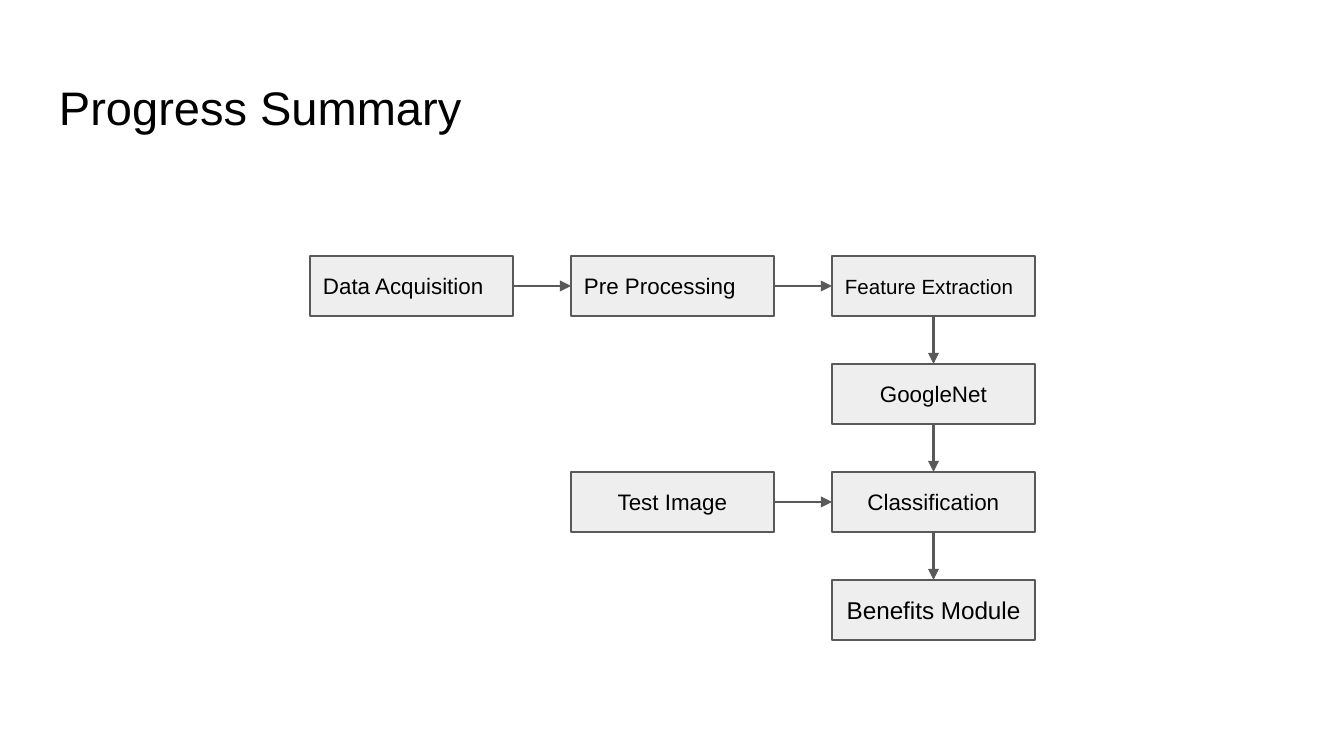
from lxml import etree
from pptx import Presentation
from pptx.dml.color import RGBColor
from pptx.enum.shapes import MSO_CONNECTOR, MSO_SHAPE
from pptx.enum.text import MSO_ANCHOR, PP_ALIGN
from pptx.oxml.ns import qn
from pptx.util import Emu, Pt

RECTANGLE = MSO_SHAPE.RECTANGLE
STRAIGHT = MSO_CONNECTOR.STRAIGHT
TOP, MIDDLE = MSO_ANCHOR.TOP, MSO_ANCHOR.MIDDLE
LEFT, CENTER = PP_ALIGN.LEFT, PP_ALIGN.CENTER
TOP_SIDE, LEFT_SIDE, BOTTOM_SIDE, RIGHT_SIDE = range(4)

COLORS = {"text": "000000", "fill": "EEEEEE", "line": "595959"}
FONT = "Arial"

TITLE = "Progress Summary"
# text, column, row, font size, alignment
STEPS = [
    ("Data Acquisition", 0, 0, 12, LEFT),
    ("Pre Processing", 1, 0, 12, LEFT),
    ("Feature Extraction", 2, 0, 11, LEFT),
    ("GoogleNet", 2, 1, 12, CENTER),
    ("Classification", 2, 2, 12, CENTER),
    ("Benefits Module", 2, 3, 13, CENTER),
    ("Test Image", 1, 2, 12, CENTER),
]
ACROSS = (RIGHT_SIDE, LEFT_SIDE)
DOWN = (BOTTOM_SIDE, TOP_SIDE)
ARROWS = [
    ("Data Acquisition", "Pre Processing", ACROSS),
    ("Pre Processing", "Feature Extraction", ACROSS),
    ("Feature Extraction", "GoogleNet", DOWN),
    ("GoogleNet", "Classification", DOWN),
    ("Classification", "Benefits Module", DOWN),
    ("Test Image", "Classification", ACROSS),
]

# Lengths in px
SLIDE_WIDTH, SLIDE_HEIGHT = 1344, 756
TITLE_AREA = (46, 66, 1252, 85)
GRID_LEFT, GRID_TOP = 310, 256
COLUMN_STEP, ROW_STEP = 261, 108
BOX_WIDTH, BOX_HEIGHT = 203, 60
INSET = 13


def px(length):
    return Emu(round(length * 914400 / 134.4))


def color(name):
    return RGBColor.from_string(COLORS[name])


def write(shape, text, size, alignment, anchor):
    frame = shape.text_frame
    frame.word_wrap = True
    frame.vertical_anchor = anchor
    frame.margin_left = frame.margin_right = px(INSET)
    frame.margin_top = frame.margin_bottom = px(INSET)
    para = frame.paragraphs[0]
    para.text = text
    para.alignment = alignment
    para.font.name = FONT
    para.font.size = Pt(size)
    para.font.color.rgb = color("text")


def add_step(slide, text, column, row, size, alignment):
    left = GRID_LEFT + column * COLUMN_STEP
    top = GRID_TOP + row * ROW_STEP
    box = slide.shapes.add_shape(
        RECTANGLE, px(left), px(top), px(BOX_WIDTH), px(BOX_HEIGHT))
    box.shadow.inherit = False
    box.fill.solid()
    box.fill.fore_color.rgb = color("fill")
    box.line.color.rgb = color("line")
    box.line.width = Pt(0.75)
    write(box, text, size, alignment, MIDDLE)
    return box


def add_arrow(slide, source, target, sides):
    arrow = slide.shapes.add_connector(STRAIGHT, 0, 0, 0, 0)
    arrow.begin_connect(source, sides[0])
    arrow.end_connect(target, sides[1])
    arrow.line.color.rgb = color("line")
    arrow.line.width = Pt(1.5)
    properties = arrow._element.spPr
    etree.SubElement(properties.find(qn("a:ln")), qn("a:tailEnd"), type="triangle")
    etree.SubElement(properties, qn("a:effectLst"))


def main():
    deck = Presentation()
    deck.slide_width, deck.slide_height = px(SLIDE_WIDTH), px(SLIDE_HEIGHT)
    slide = deck.slides.add_slide(deck.slide_layouts[6])

    title = slide.shapes.add_textbox(*map(px, TITLE_AREA))
    write(title, TITLE, 25.2, LEFT, TOP)

    boxes = {step[0]: add_step(slide, *step) for step in STEPS}
    for source, target, sides in ARROWS:
        add_arrow(slide, boxes[source], boxes[target], sides)

    deck.save("out.pptx")


if __name__ == "__main__":
    main()
